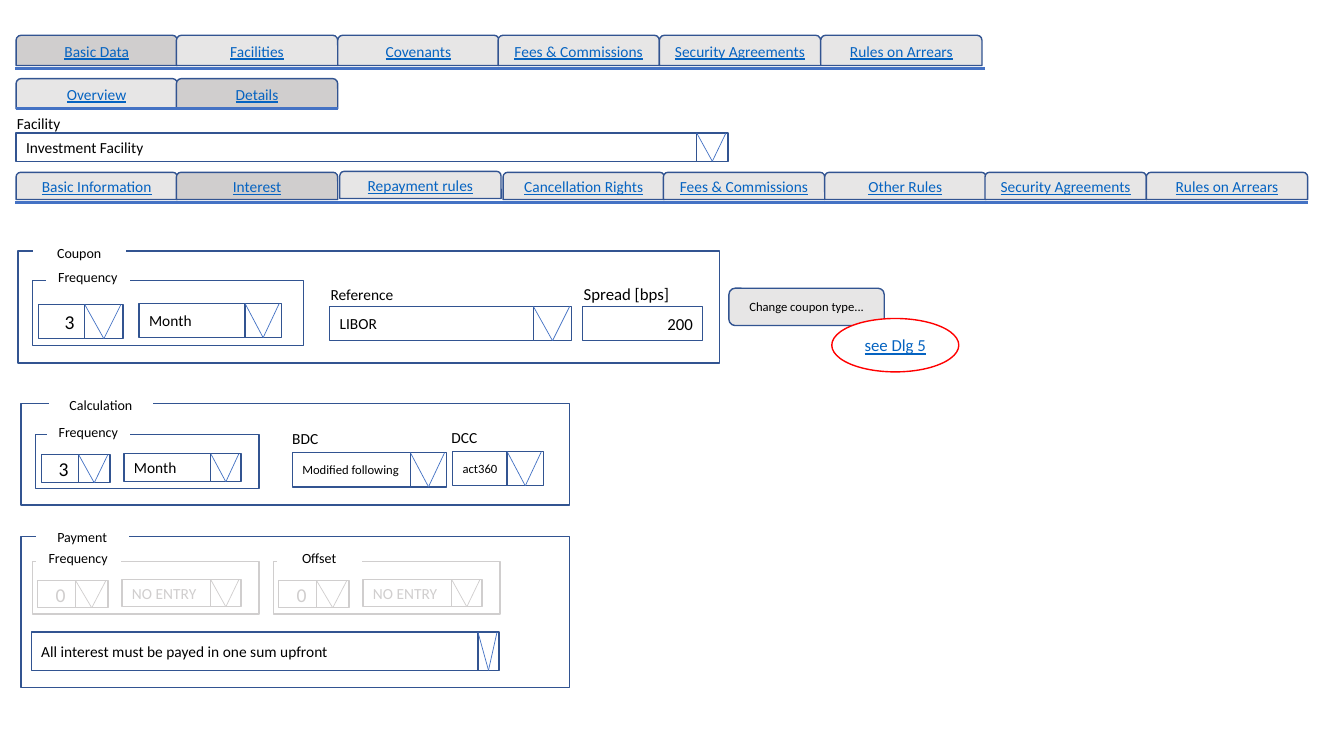
from lxml import etree
from pptx import Presentation
from pptx.dml.color import RGBColor
from pptx.enum.shapes import MSO_CONNECTOR, MSO_SHAPE
from pptx.enum.text import MSO_ANCHOR, PP_ALIGN
from pptx.oxml.ns import qn
from pptx.util import Emu, Pt

RECTANGLE = MSO_SHAPE.RECTANGLE
ROUNDED = MSO_SHAPE.ROUNDED_RECTANGLE
TAB = MSO_SHAPE.ROUND_2_SAME_RECTANGLE
OVAL = MSO_SHAPE.OVAL
STRAIGHT = MSO_CONNECTOR.STRAIGHT
LEFT, CENTER, RIGHT = PP_ALIGN.LEFT, PP_ALIGN.CENTER, PP_ALIGN.RIGHT
TOP, MIDDLE = MSO_ANCHOR.TOP, MSO_ANCHOR.MIDDLE

WHITE = RGBColor(0xFF, 0xFF, 0xFF)
BLACK = RGBColor(0x00, 0x00, 0x00)
NAVY = RGBColor(0x32, 0x54, 0x91)
BLUE = RGBColor(0x44, 0x72, 0xC4)
LINK = RGBColor(0x05, 0x63, 0xC1)
RED = RGBColor(0xFF, 0x00, 0x00)
LIGHT = RGBColor(0xE7, 0xE6, 0xE6)
GREY = RGBColor(0xD0, 0xCE, 0xCE)

EMU_PER_PX = 9144
FONT = "Calibri"


def px(value):
    return Emu(value * EMU_PER_PX)


def write(shape, text, size=11, color=BLACK, align=LEFT, anchor=MIDDLE, underline=False):
    frame = shape.text_frame
    frame.word_wrap = True
    frame.vertical_anchor = anchor
    frame.margin_left = px(10 if align == LEFT else 0)
    frame.margin_right = px(10 if align == RIGHT else 0)
    frame.margin_top = frame.margin_bottom = px(5 if anchor == TOP else 0)
    paragraph = frame.paragraphs[0]
    paragraph.alignment = align
    run = paragraph.add_run()
    run.text = text
    run.font.name = FONT
    run.font.size = Pt(size)
    run.font.color.rgb = color
    run.font.underline = underline


class FormSlide:
    def __init__(self, presentation):
        self.slide = presentation.slides.add_slide(presentation.slide_layouts[6])

    def box(self, x, y, width, height, kind=RECTANGLE, fill=WHITE, line=NAVY):
        shape = self.slide.shapes.add_shape(kind, px(x), px(y), px(width), px(height))
        shape.shadow.inherit = False
        shape.fill.solid()
        shape.fill.fore_color.rgb = fill
        shape.line.color.rgb = line
        shape.line.width = Pt(1)
        return shape

    def line(self, x1, y1, x2, y2, color=BLUE, width=2):
        connector = self.slide.shapes.add_connector(STRAIGHT, px(x1), px(y1), px(x2), px(y2))
        connector.line.color.rgb = color
        connector.line.width = Pt(width)
        etree.SubElement(connector._element.spPr, qn("a:effectLst"))
        return connector

    def label(self, x, y, width, text, size=11):
        shape = self.slide.shapes.add_textbox(px(x), px(y), px(width), px(29))
        write(shape, text, size=size, anchor=TOP)

    def field(self, x, y, width, height, text, line=NAVY, **style):
        write(self.box(x, y, width, height, line=line), text, **style)

    def dropdown(self, x, y, width, height, button_width, text, muted=False, **style):
        outline, stroke, color = (GREY, GREY, GREY) if muted else (NAVY, BLUE, BLACK)
        self.field(x, y, width, height, text, line=outline, color=color, **style)
        left = x + width
        button = self.box(left, y, button_width, height, line=outline)
        for start in (left, left + button_width - 2):
            stem = self.line(start, y, left + button_width // 2, y + height, stroke, 0.5)
            stem.end_connect(button, 2)

    def group(self, frame, caption, title, muted=False):
        self.box(*frame, line=GREY if muted else NAVY)
        write(self.box(*caption, line=WHITE), title, size=10, align=CENTER)

    def period(self, frame, caption, title, count, unit, muted=False):
        self.group(frame, caption, title, muted)
        count_box, count_text = count
        unit_box, unit_text = unit
        self.dropdown(*count_box, count_text, muted, size=14, align=RIGHT)
        self.dropdown(*unit_box, unit_text, muted)

    def tabs(self, x, y, height, names, active=None):
        for index, name in enumerate(names):
            fill = GREY if name == active else LIGHT
            tab = self.box(x + 798 * index // 5, y, 160, height, TAB, fill)
            write(tab, name, color=LINK, align=CENTER, underline=True)


def add_navigation(form):
    form.tabs(16, 35, 30, ["Basic Data", "Facilities", "Covenants", "Fees & Commissions",
                           "Security Agreements", "Rules on Arrears"], "Basic Data")
    form.line(15, 68, 977, 68)
    form.tabs(16, 78, 30, ["Overview", "Details"], "Details")
    form.line(16, 108, 335, 108)
    form.dropdown(16, 132, 675, 28, 31, "Investment Facility")
    form.label(7, 108, 66, "Facility")
    form.tabs(16, 171, 27, ["Basic Information", "Interest"], "Interest")
    form.tabs(499, 171, 27, ["Cancellation Rights", "Fees & Commissions", "Other Rules",
                             "Security Agreements", "Rules on Arrears"])
    form.tabs(337, 170, 27, ["Repayment rules"])
    form.line(15, 201, 1297, 201)


def add_coupon(form):
    form.group((18, 249, 696, 111), (33, 238, 91, 25), "Coupon")
    form.period((32, 278, 269, 65), (46, 265, 82, 20), "Frequency",
                ((38, 302, 46, 34, 38), "3"), ((138, 301, 105, 34, 36), "Month"))
    form.label(318, 278, 84, "Reference")
    form.dropdown(327, 304, 202, 34, 38, "LIBOR")
    form.label(569, 277, 125, "Spread [bps]", size=12)
    form.field(578, 304, 119, 34, "200", size=12, align=RIGHT)
    button = form.box(723, 286, 154, 37, ROUNDED, LIGHT)
    write(button, "Change coupon type...", size=9, align=CENTER)
    reference = form.box(825, 316, 126, 53, OVAL, line=RED)
    write(reference, "see Dlg 5", size=12, color=LINK, align=CENTER, underline=True)


def add_calculation(form):
    form.group((21, 400, 544, 101), (49, 390, 102, 23), "Calculation")
    form.period((35, 431, 222, 54), (47, 421, 81, 16), "Frequency",
                ((41, 451, 37, 28, 31), "3"), ((123, 450, 86, 28, 30), "Month"))
    form.label(280, 421, 46, "BDC")
    form.dropdown(290, 449, 117, 34, 36, "Modified following", size=9)
    form.label(438, 420, 46, "DCC")
    form.dropdown(449, 448, 54, 34, 36, "act360", size=9)


def add_payment(form):
    form.group((21, 532, 544, 150), (36, 521, 91, 23), "Payment")
    for x, title in ((32, "Frequency"), (271, "Offset")):
        form.period((x, 557, 225, 52), (x + 4, 546, 83, 16), title,
                    ((x + 5, 576, 38, 27, 32), "0"),
                    ((x + 89, 575, 88, 27, 30), "NO ENTRY"), muted=True)
    form.dropdown(31, 627, 443, 38, 21, "All interest must be payed in one sum upfront")


def main():
    presentation = Presentation()
    presentation.slide_width = px(1333)
    presentation.slide_height = px(750)
    form = FormSlide(presentation)
    add_coupon(form)
    add_calculation(form)
    add_payment(form)
    add_navigation(form)
    presentation.save("out.pptx")


if __name__ == "__main__":
    main()
